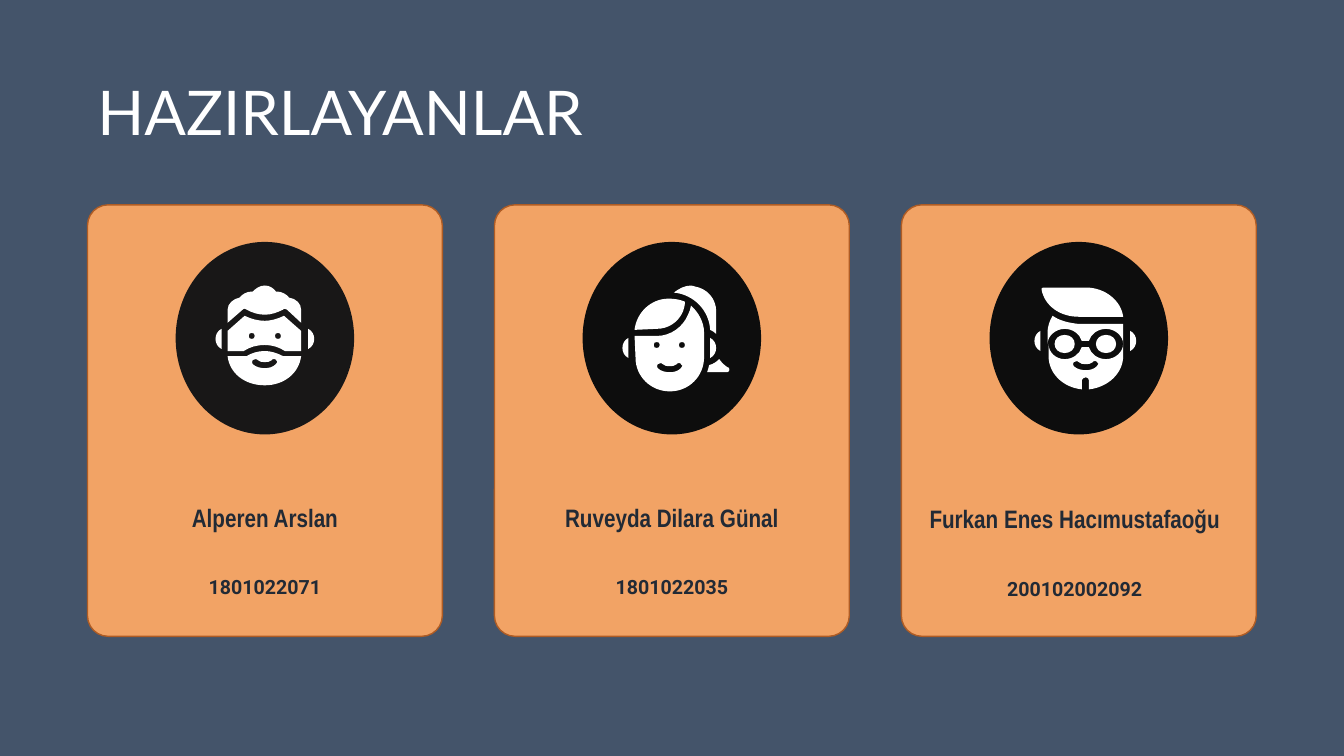
from lxml import etree
from pptx import Presentation
from pptx import util as u
from pptx.dml import color
from pptx.enum import shapes, text
from pptx.oxml import ns

NAVY, ORANGE, RUST, INK = "44546A", "F2A365", "AF5C24", "222A35"
WHITE, BLACK, CHARCOAL = "FFFFFF", "0D0D0D", "181717"

EAR = "0 0|4 2 6 6 6 10|6 14 4 18 0 20"
EYE = "0 -3|2 -3 3 -2 3 0|3 2 2 3 0 3|-2 3 -3 2 -3 0|-3 -2 -2 -3 0 -3"
LENS = "0 -9|6 -9 10 -5 10 0|10 5 6 9 0 9|-6 9 -10 5 -10 0|-10 -5 -6 -9 0 -9"
SMILE = ("9 0|10 0 11 0 11 1|13 2 13 3 11 5|8 8 4 9 0 9|-4 9 -9 8 -12 5|-13 4 -13 2 -12 1|"
         "-11 0 -10 0 -9 0|-9 0 -8 0 -7 1|-5 3 -3 3 0 3|2 3 5 3 7 1|7 0 8 0 9 0")

BEARDED = [
    [(EAR, 133, 123, -1)],
    [(EYE, 163, 130), (EYE, 189, 130),
     ("156 110|139 125|139 145|155 145|161 141 168 139 176 139|183 139 190 141 196 145|"
      "212 145|212 125|195 110|189 113 182 115 176 115|169 115 162 113 156 110",)],
    [("176 80|171 80 167 83 164 86|164 86 163 86 163 86|158 86 153 89 151 92|"
      "145 93 139 98 139 104|139 117|154 104|154 104 155 103 156 103|157 103 157 104 158 104|"
      "163 107 170 109 176 109|182 109 188 107 194 104|194 104 195 103 196 103|"
      "196 103 197 104 198 104|212 117|212 104|212 98 207 93 200 92|"
      "198 89 193 86 188 86|188 86 188 86 187 86|185 83 181 80 176 80",)],
    [(SMILE, 176, 153),
     ("176 145|169 145 163 147 158 150|157 150 156 150 156 150|139 150|"
      "141 167 156 179 176 179|195 179 210 167 212 150|195 150|195 150 194 150 194 150|"
      "188 147 182 145 176 145",)],
    [(EAR, 219, 123)],
]
PONYTAIL = [
    [("195 80|189 80 183 83 178 87|198 89 213 105 214 124|216 125 218 126 220 128|"
      "220 106|220 93 211 83 199 81|198 81 197 80 195 80",)],
    [("223 153|220 156 217 158 213 159|212 162 212 164 211 166|230 166|"
      "231 166 233 166 233 164|233 162 233 161 231 161|228 159 225 156 223 153",)],
    [("173 93|155 93 141 107 139 124|161 123|172 123 182 117 187 106|"
      "188 103 189 100 189 96|184 94 179 93 173 93",)],
    [(EYE, 161, 139), (EYE, 186, 139), (SMILE, 174, 157),
     ("195 100|194 103 194 106 192 109|187 121 175 130 161 130|139 130|140 152|"
      "140 170 155 185 174 185|174 185 174 185 174 185|193 185 208 170 208 151|208 127|"
      "208 116 202 106 195 100",)],
    [(EAR, 214, 132)],
    [(EAR, 133, 132, -1)],
]
GLASSES = [
    [(EAR, 138, 125, -1)],
    [("141 82|140 82 138 83 139 84|142 100 157 111 176 111|220 111|218 95 202 82 183 82",)],
    [(LENS, 162, 138)],
    [(LENS, 203, 138)],
    [(SMILE, 183, 155),
     ("146 138|146 150|146 167 160 181 179 183|179 174|179 173 181 171 183 171|"
      "185 171 186 173 186 174|186 183|205 181 220 167 220 150|220 138|"
      "220 146 212 153 203 153|195 153 188 148 186 141|179 141|177 148 170 153 162 153|"
      "153 153 146 146 146 138",)],
    [("150 110|147 115 145 121 145 126|145 138|145 130 153 123 162 123|"
      "170 123 177 128 179 135|186 135|188 128 195 123 203 123|212 123 220 130 220 138|"
      "220 118|175 118|166 117 157 115 150 110",)],
    [(EAR, 227, 125)],
]

MEMBERS = [
    ("Alperen Arslan", "1801022071", CHARCOAL, BEARDED, (0, 0, 0)),
    ("Ruveyda Dilara Günal", "1801022035", BLACK, PONYTAIL, (0, 0, 0)),
    ("Furkan Enes Hacımustafaoğu", "200102002092", BLACK, GLASSES, (-0.3, 0.13, 0.27)),
]


def rgb(value):
    """Turn a hex string into a colour."""
    return color.RGBColor.from_string(value)


def segments(drawing, dx=0, dy=0, flip=1):
    """List the shifted points of each line (one) or curve (three)."""
    rows = [[int(number) for number in row.split()] for row in drawing.split("|")]
    return [[(dx + flip * x, dy + y) for x, y in zip(row[::2], row[1::2])] for row in rows]


class Painter:
    """Draws on one slide, with lengths in percent of its width and height."""

    def __init__(self, deck, background):
        """Add a blank page with a plain background."""
        self.page = deck.slides.add_slide(deck.slide_layouts[6])
        self.width, self.height = deck.slide_width, deck.slide_height
        self.unit = self.width * 0.00075
        self.page.background.fill.solid()
        self.page.background.fill.fore_color.rgb = rgb(background)

    def place(self, left, top, width, height):
        """Turn percent shares into slide lengths."""
        shares = (left, self.width), (top, self.height), (width, self.width), (height, self.height)
        return [u.Emu(round(share * full / 100)) for share, full in shares]

    def paint(self, shape, fill, line=None):
        """Give a shape its fill and outline."""
        shape.shadow.inherit = False
        shape.fill.solid()
        shape.fill.fore_color.rgb = rgb(fill)
        if line:
            shape.line.color.rgb = rgb(line)
            shape.line.width = u.Pt(1)
        else:
            shape.line.fill.background()

    def card(self, *spot):
        """Draw a rounded card."""
        shape = self.page.shapes.add_shape(shapes.MSO_SHAPE.ROUNDED_RECTANGLE, *self.place(*spot))
        shape.adjustments[0] = 0.058
        self.paint(shape, ORANGE, RUST)

    def oval(self, spot, fill):
        """Draw an ellipse."""
        shape = self.page.shapes.add_shape(shapes.MSO_SHAPE.OVAL, *self.place(*spot))
        self.paint(shape, fill)

    def outline(self, corner, contours, fill):
        """Draw a curved outline with holes, in icon units from a corner."""
        drawn = [segments(*contour) for contour in contours]
        points = [point for contour in drawn for segment in contour for point in segment]
        builder = self.page.shapes.build_freeform(*points[0], scale=self.unit)
        builder.add_line_segments(points[1:])
        left, top = self.place(*corner, 0, 0)[:2]
        shape = builder.convert_to_shape(left, top)
        self.paint(shape, fill)
        x0, y0 = (min(values) for values in zip(*points))
        track = shape.element.find(".//" + ns.qn("a:path"))
        for step in list(track):
            track.remove(step)
        for contour in drawn:
            for index, segment in enumerate(contour):
                kind = "cubicBezTo" if len(segment) == 3 else "lnTo" if index else "moveTo"
                step = etree.SubElement(track, ns.qn("a:" + kind))
                for x, y in segment:
                    etree.SubElement(step, ns.qn("a:pt"), x=str(x - x0), y=str(y - y0))
            etree.SubElement(track, ns.qn("a:close"))

    def label(self, spot, words, font, size, ink, bold=False, centred=True):
        """Write one line of text in a box."""
        box = self.page.shapes.add_textbox(*self.place(*spot))
        frame = box.text_frame
        frame.word_wrap = True
        frame.margin_left = frame.margin_right = u.Inches(0.1)
        frame.margin_top = frame.margin_bottom = u.Inches(0.1)
        frame.vertical_anchor = text.MSO_ANCHOR.MIDDLE if centred else text.MSO_ANCHOR.TOP
        para = frame.paragraphs[0]
        para.alignment = text.PP_ALIGN.CENTER if centred else text.PP_ALIGN.LEFT
        span = para.add_run()
        span.text = words
        span.font.name, span.font.size, span.font.bold = font, u.Pt(size), bold
        span.font.color.rgb = rgb(ink)


def main():
    """Build and save the deck."""
    deck = Presentation()
    deck.slide_width, deck.slide_height = u.Emu(12192000), u.Inches(7.5)
    painter = Painter(deck, NAVY)
    margin, pitch, card_width, card_top = 6.51, 30.28, 26.4, 27.1
    painter.label((margin, 8.45, 39.83, 12.8), "HAZIRLAYANLAR", "Lato", 44, WHITE, centred=False)
    for column, (name, number, badge, icon, nudge) in enumerate(MEMBERS):
        left = margin + column * pitch
        painter.card(left, card_top, card_width, 57.07)
        painter.oval((left + 6.56, 32, 13.28, 25.47), badge)
        for contours in icon:
            painter.outline((left, card_top), contours, WHITE)
        aside, name_drop, number_drop = nudge
        painter.label((left + aside, 64.8 + name_drop, card_width, 7.33),
                      name, "Arial Narrow", 18, INK, bold=True)
        painter.label((left + aside, 72.27 + number_drop, card_width, 10.67),
                      number, "Roboto", 14, INK, bold=True)
    deck.save("out.pptx")


if __name__ == "__main__":
    main()
